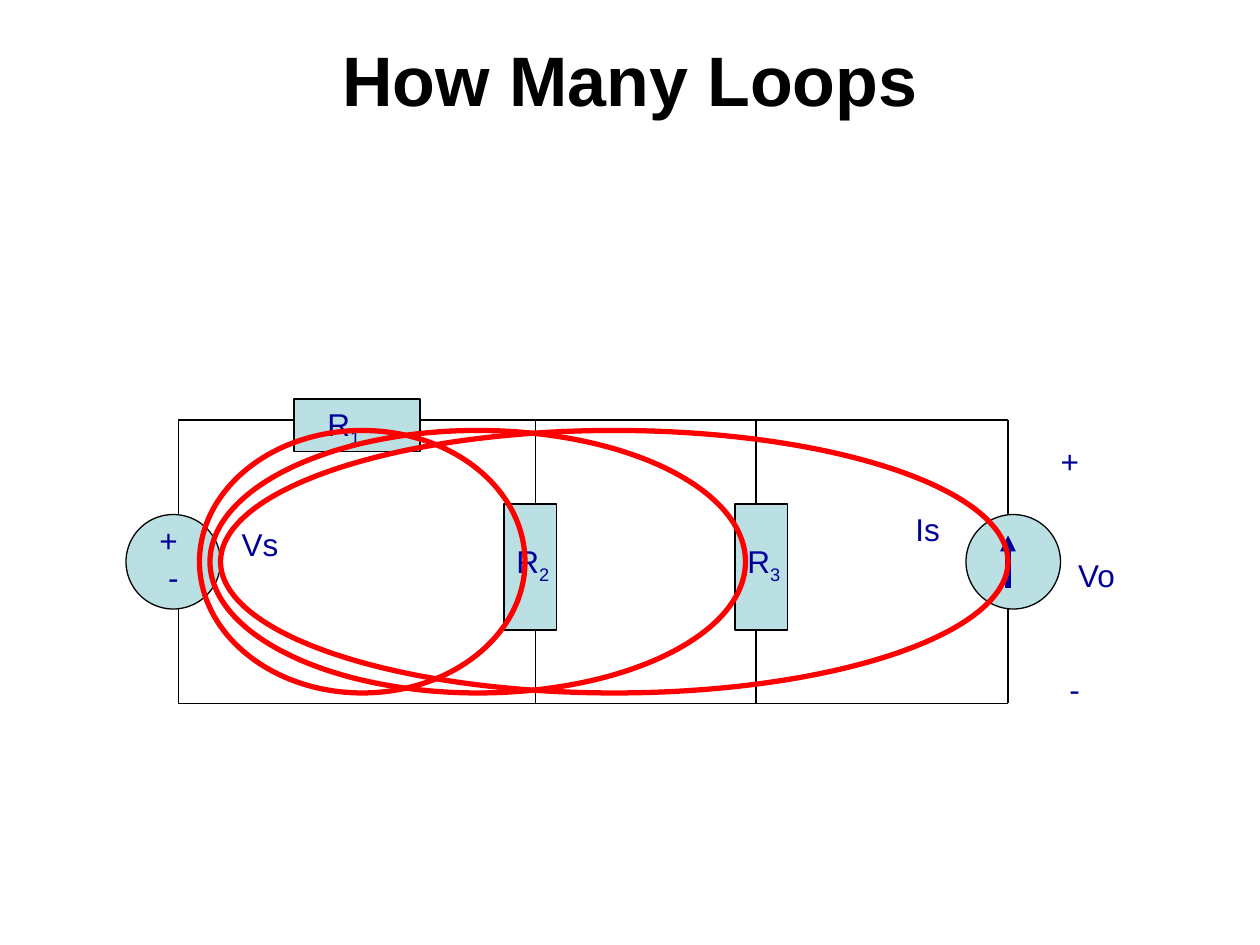
from lxml import etree
from pptx import Presentation
from pptx import util as u
from pptx.dml.color import RGBColor
from pptx.enum import shapes, text
from pptx.oxml import parse_xml
from pptx.oxml.ns import qn

COLUMNS_PER_INCH = 12
BLACK, BLUE, RED, PALE = "000000", "000099", "FF0000", "BBE0E3"
TOP_WIRE, BOTTOM_WIRE = 40, 67
SOURCE_TOP, SOURCE_SIZE = 49, 9
RECTANGLE = shapes.MSO_SHAPE.RECTANGLE
OVAL = shapes.MSO_SHAPE.OVAL
SHADOW = (
    '<a:effectLst xmlns:a="http://schemas.openxmlformats.org/drawingml/2006/main">'
    '<a:outerShdw blurRad="38100" dist="38100" dir="2700000" algn="tl">'
    '<a:srgbClr val="C0C0C0"/></a:outerShdw></a:effectLst>'
)


def grid(cells):
    return u.Inches(cells / COLUMNS_PER_INCH)


def color(hex_value):
    return RGBColor.from_string(hex_value)


def format_run(run, size, hex_value, bold=False):
    run.font.size = u.Pt(size)
    run.font.name = "Arial"
    run.font.bold = bold
    run.font.color.rgb = color(hex_value)


def add_shape(slide, kind, box, line, width=0.75, fill=None, rotation=0):
    shape = slide.shapes.add_shape(kind, *map(grid, box))
    shape.rotation = rotation
    shape.shadow.inherit = False
    if fill:
        shape.fill.solid()
        shape.fill.fore_color.rgb = color(fill)
    else:
        shape.fill.background()
    shape.line.color.rgb = color(line)
    shape.line.width = u.Pt(width)


def add_wire(slide, start, end, line=BLACK, width=0.75, arrow=False):
    wire = slide.shapes.add_connector(
        shapes.MSO_CONNECTOR.STRAIGHT, *map(grid, (*start, *end)))
    wire.line.color.rgb = color(line)
    wire.line.width = u.Pt(width)
    properties = wire._element.spPr
    if arrow:
        etree.SubElement(properties.find(qn("a:ln")), qn("a:tailEnd"), type="triangle")
    etree.SubElement(properties, qn("a:effectLst"))


def add_label(slide, box, lines):
    frame = slide.shapes.add_textbox(*map(grid, box)).text_frame
    frame.word_wrap = False
    frame.auto_size = text.MSO_AUTO_SIZE.SHAPE_TO_FIT_TEXT
    frame.text = "\n".join(line for line, indent, gap in lines)
    for paragraph, (line, indent, gap) in zip(frame.paragraphs, lines):
        paragraph._p.get_or_add_pPr().set("marL", str(u.Pt(indent)))
        if gap:
            paragraph.space_before = u.Pt(gap)
        for run in paragraph.runs:
            format_run(run, 18, BLUE)
    return frame


def add_resistor(slide, box, label_at, number, rotation=0):
    add_shape(slide, RECTANGLE, box, BLACK, fill=PALE, rotation=rotation)
    paragraph = add_label(slide, (*label_at, 5.64, 4.8), [("R", 0, 0)]).paragraphs[0]
    subscript = paragraph.add_run()
    subscript.text = number
    format_run(subscript, 18, BLUE)
    subscript.font._element.set("baseline", "-25000")


def add_title(slide, title):
    frame = slide.shapes.add_textbox(*map(grid, (2, 2, 116, 11))).text_frame
    frame.word_wrap = True
    frame.vertical_anchor = text.MSO_ANCHOR.MIDDLE
    frame.text = title
    paragraph = frame.paragraphs[0]
    paragraph.alignment = text.PP_ALIGN.CENTER
    run = paragraph.runs[0]
    format_run(run, 40, BLACK, bold=True)
    run.font._element.find(qn("a:solidFill")).addnext(parse_xml(SHADOW))


def add_wires(slide):
    source_bottom = SOURCE_TOP + SOURCE_SIZE
    branches = [(17, SOURCE_TOP, source_bottom), (51, 48, 60),
                (72, 48, 60), (96, SOURCE_TOP, source_bottom)]
    for column, top, bottom in branches:
        add_wire(slide, (column, top), (column, TOP_WIRE))
        add_wire(slide, (column, BOTTOM_WIRE), (column, bottom))
    for left, right, row in [(17, 28, TOP_WIRE), (40, 96, TOP_WIRE), (17, 96, BOTTOM_WIRE)]:
        add_wire(slide, (left, row), (right, row))


def main():
    presentation = Presentation()
    presentation.slide_width = u.Inches(10)
    presentation.slide_height = u.Inches(7.5)
    slide = presentation.slides.add_slide(presentation.slide_layouts[6])

    add_title(slide, "How Many Loops")
    for column in (12, 92):
        add_shape(slide, OVAL, (column, SOURCE_TOP, SOURCE_SIZE, SOURCE_SIZE), BLACK, fill=PALE)
    add_resistor(slide, (28, 38, 12, 5), (30, 38), "1")
    add_resistor(slide, (44.5, 51.5, 12, 5), (48, 51), "2", rotation=90)
    add_resistor(slide, (66.5, 51.5, 12, 5), (70, 51), "3", rotation=90)
    add_wires(slide)

    add_label(slide, (14, 49, 4.2, 8.4), [("+", 0, 0), ("-", 5, 0)])
    add_wire(slide, (96, 56), (96, 51), BLUE, 3, arrow=True)
    add_label(slide, (21.84, 49.44, 5.88, 4.8), [("Vs", 0, 0)])
    add_label(slide, (86, 48, 4.8, 4.8), [("Is", 0, 0)])
    add_label(slide, (99.84, 41.5, 7.8, 30), [("+", 0, 0), ("Vo", 10, 43.5), ("-", 5, 43.5)])

    for left, width in [(19, 31), (20, 51), (21, 75)]:
        add_shape(slide, OVAL, (left, 41, width, 25), RED, width=3)
    presentation.save("out.pptx")


if __name__ == "__main__":
    main()
